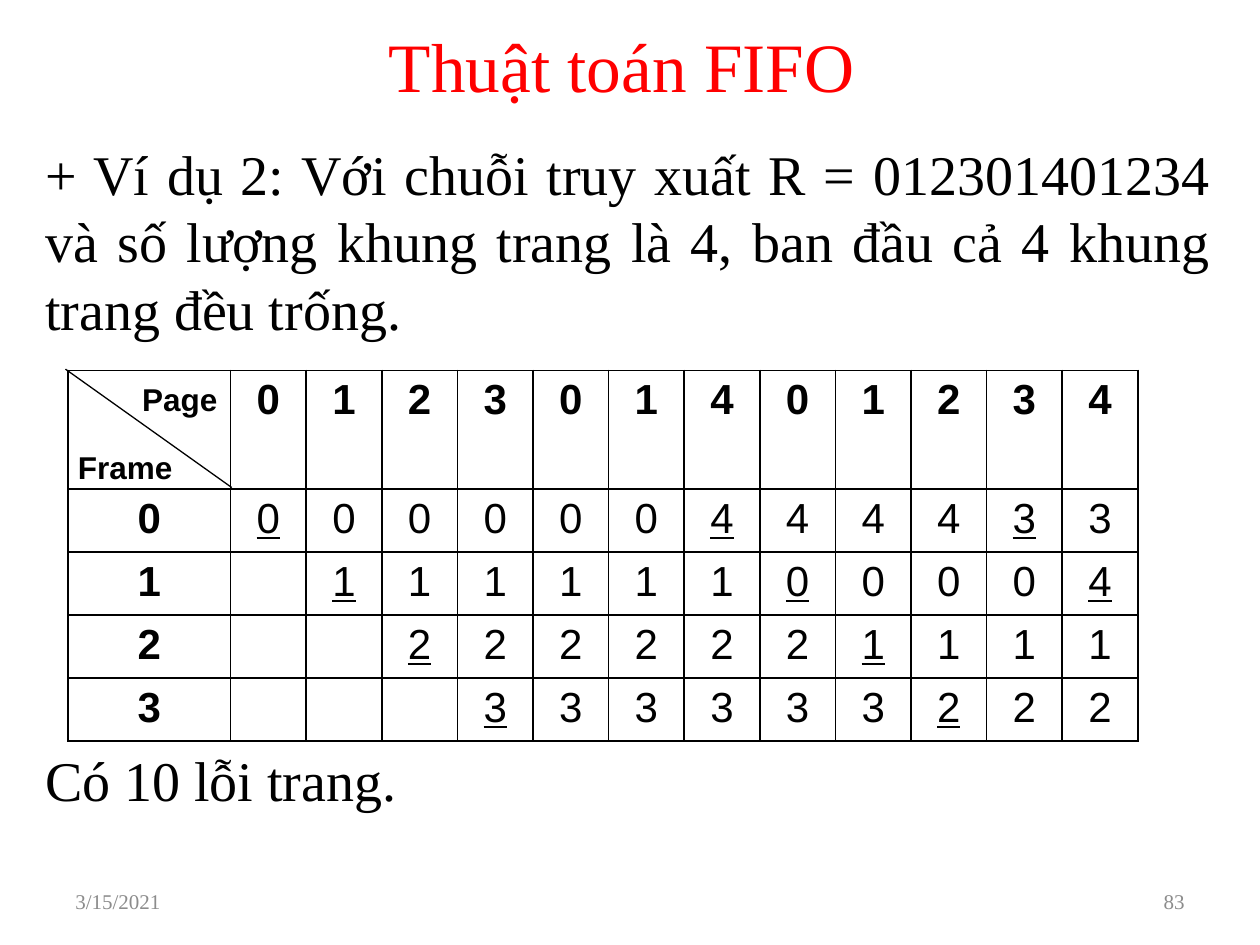
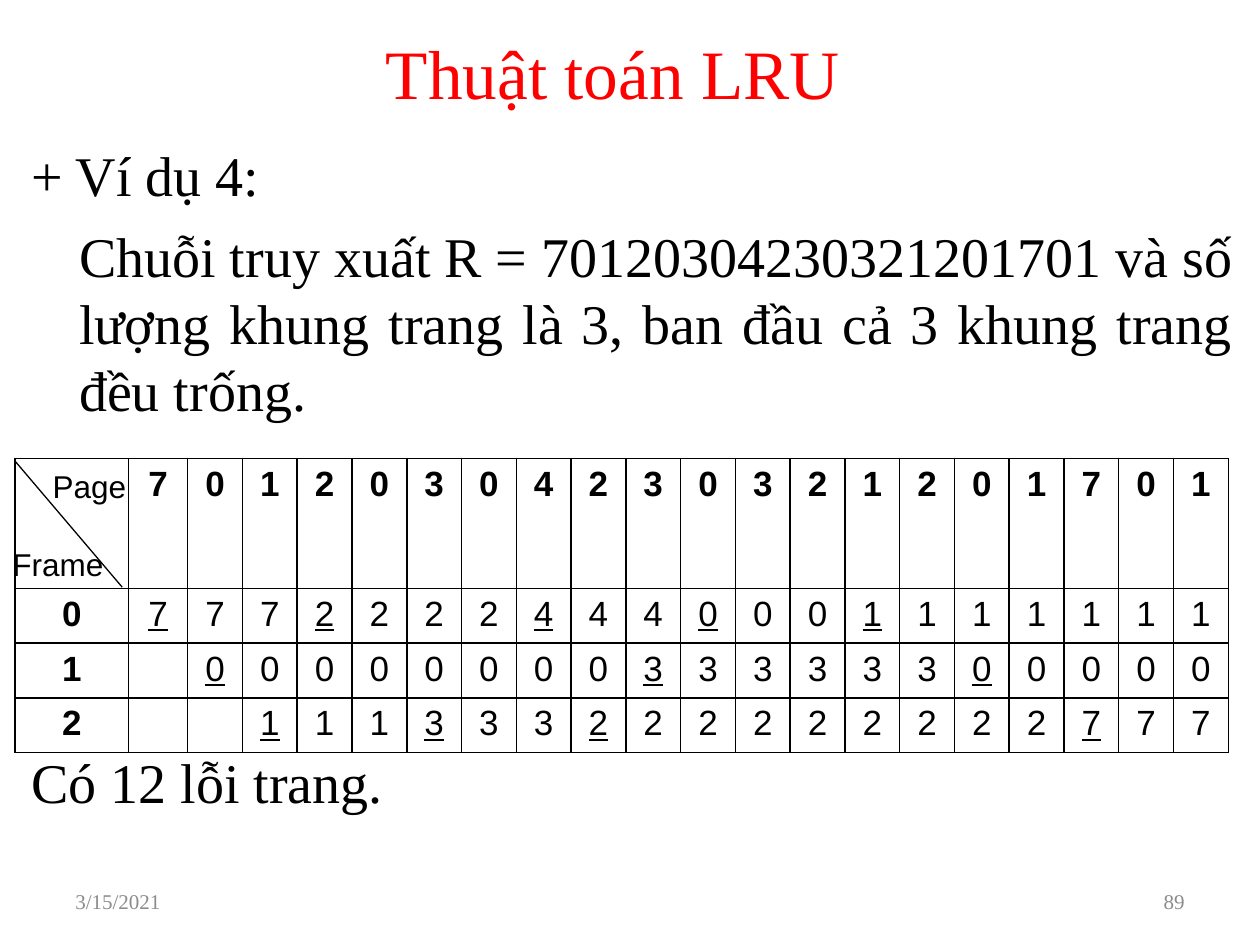
from lxml.etree import SubElement
from pptx import Presentation
from pptx.dml.color import RGBColor
from pptx.enum.shapes import MSO_CONNECTOR
from pptx.enum.text import MSO_ANCHOR, PP_ALIGN
from pptx.oxml.ns import qn
from pptx.util import Inches, Pt

COLORS = {"title": "FF0000", "text": "000000", "footer": "8C8C8C", "line": "000000"}
SERIF = "Times New Roman"
SANS = "Arial"
EMPTY = "."


def color(name):
    return RGBColor.from_string(COLORS[name])


def format_paragraph(paragraph, text, size=32, font=SERIF, ink="text", bold=False,
                     underline=False, align=PP_ALIGN.LEFT, before=0, indent=0):
    paragraph.alignment = align
    if before:
        paragraph.space_before = Pt(before)
    if indent:
        paragraph._p.get_or_add_pPr().set("marL", str(Inches(indent)))
    run = paragraph.add_run()
    run.text = text
    run.font.size = Pt(size)
    run.font.name = font
    run.font.bold = bold
    run.font.underline = underline
    run.font.color.rgb = color(ink)


def add_text(slide, text, left, top, width, height, anchor=MSO_ANCHOR.TOP, **style):
    box = slide.shapes.add_textbox(Inches(left), Inches(top), Inches(width), Inches(height))
    frame = box.text_frame
    frame.word_wrap = True
    frame.vertical_anchor = anchor
    format_paragraph(frame.paragraphs[0], text, **style)
    return frame


def add_title(slide, text, left, top):
    add_text(slide, text, left, top, 7.83, 0.72, MSO_ANCHOR.MIDDLE,
             size=39.6, ink="title", align=PP_ALIGN.CENTER)


def add_footer(slide, number):
    for text, left, align in (("3/15/2021", 0.5, PP_ALIGN.LEFT),
                              (number, 7.17, PP_ALIGN.RIGHT)):
        add_text(slide, text, left, 6.95, 2.33, 0.4, MSO_ANCHOR.MIDDLE,
                 size=12, ink="footer", align=align)


def add_line(slide, start, end):
    points = [Inches(value) for value in (*start, *end)]
    connector = slide.shapes.add_connector(MSO_CONNECTOR.STRAIGHT, *points)
    connector.line.color.rgb = color("line")
    connector.line.width = Pt(0.75)
    SubElement(connector._element.spPr, qn("a:effectLst"))


def style_cell(cell):
    """Give a cell four thin borders and no fill."""
    properties = cell._tc.get_or_add_tcPr()
    for side in ("lnL", "lnR", "lnT", "lnB"):
        border = SubElement(properties, qn(f"a:{side}"), w=str(Pt(1)))
        fill = SubElement(border, qn("a:solidFill"))
        SubElement(fill, qn("a:srgbClr"), val=COLORS["line"])
    cell.fill.background()


def add_page_table(slide, pages, frames, left, top, column_widths, row_heights, size):
    """Show the page held by each frame; a newly loaded page is underlined."""
    table = slide.shapes.add_table(
        len(row_heights), len(column_widths), Inches(left), Inches(top),
        Inches(sum(column_widths)), Inches(sum(row_heights))).table
    table.first_row = table.horz_banding = False
    for column, width in zip(table.columns, column_widths):
        column.width = Inches(width)
    for row, height in zip(table.rows, row_heights):
        row.height = Inches(height)

    rows = [EMPTY + pages] + [f"{index}{held}" for index, held in enumerate(frames)]
    for row_index, values in enumerate(rows):
        for column_index, value in enumerate(values):
            cell = table.cell(row_index, column_index)
            style_cell(cell)
            if value == EMPTY:
                continue
            is_header = row_index == 0 or column_index == 0
            is_loaded = not is_header and (
                column_index == 1 or value != values[column_index - 1])
            format_paragraph(cell.text_frame.paragraphs[0], value, size=size, font=SANS,
                             bold=is_header, underline=is_loaded, align=PP_ALIGN.CENTER)


def add_corner_label(slide, text, left, top, width, bold):
    add_text(slide, text, left, top, width, 0.4, size=18, font=SANS, bold=bold)


def build_fifo_slide(slide):
    pages = "012301401234"
    add_title(slide, "Thuật toán FIFO", 1.02, 0.15)
    add_text(slide, f"+ Ví dụ 2: Với chuỗi truy xuất R = {pages} và số lượng khung trang "
             "là 4, ban đầu cả 4 khung trang đều trống.",
             0.26, 1.06, 9.45, 1.8, align=PP_ALIGN.JUSTIFY)
    add_text(slide, "Có 10 lỗi trang.", 0.26, 5.87, 9.45, 0.65)
    frames = ["000000444433", ".11111100004", "..2222221111", "...333333222"]
    add_page_table(slide, pages, frames, 0.54, 2.94,
                   [1.29] + [0.6] * len(pages), [0.94] + [0.47] * len(frames), 24)
    add_footer(slide, "83")
    add_line(slide, (0.52, 2.93), (1.84, 3.87))
    add_corner_label(slide, "Page", 1.03, 2.97, 0.9, bold=True)
    add_corner_label(slide, "Frame", 0.52, 3.51, 1.15, bold=True)


def build_lru_slide(slide):
    pages = "70120304230321201701"
    add_title(slide, "Thuật toán LRU", 0.95, 0.21)
    intro = add_text(slide, "+ Ví dụ 4:", 0.15, 1.07, 9.74, 2.5)
    format_paragraph(intro.add_paragraph(),
                     f"Chuỗi truy xuất R = {pages} và số lượng khung trang là 3, "
                     "ban đầu cả 3 khung trang đều trống.",
                     align=PP_ALIGN.JUSTIFY, before=7.4, indent=0.38)
    add_text(slide, "Có 12 lỗi trang.", 0.15, 5.88, 9.74, 0.65)
    frames = ["77722224440001111111", ".0000000033333300000", "..111333222222222777"]
    equal_width = round(8.26 / (len(pages) - 1), 3)
    add_page_table(slide, pages, frames, 0.12, 3.64,
                   [0.9, 0.47] + [equal_width] * (len(pages) - 1),
                   [1.03] + [0.41] * len(frames), 20)
    add_footer(slide, "89")
    add_line(slide, (0.12, 3.66), (0.97, 4.66))
    add_corner_label(slide, "Page", 0.32, 3.66, 0.85, bold=False)
    add_corner_label(slide, "Frame", 0, 4.28, 0.97, bold=False)


def main():
    presentation = Presentation()
    presentation.slide_width = Inches(10)
    presentation.slide_height = Inches(7.5)
    blank = presentation.slide_layouts[6]
    for build in (build_fifo_slide, build_lru_slide):
        build(presentation.slides.add_slide(blank))
    presentation.save("out.pptx")


if __name__ == "__main__":
    main()
